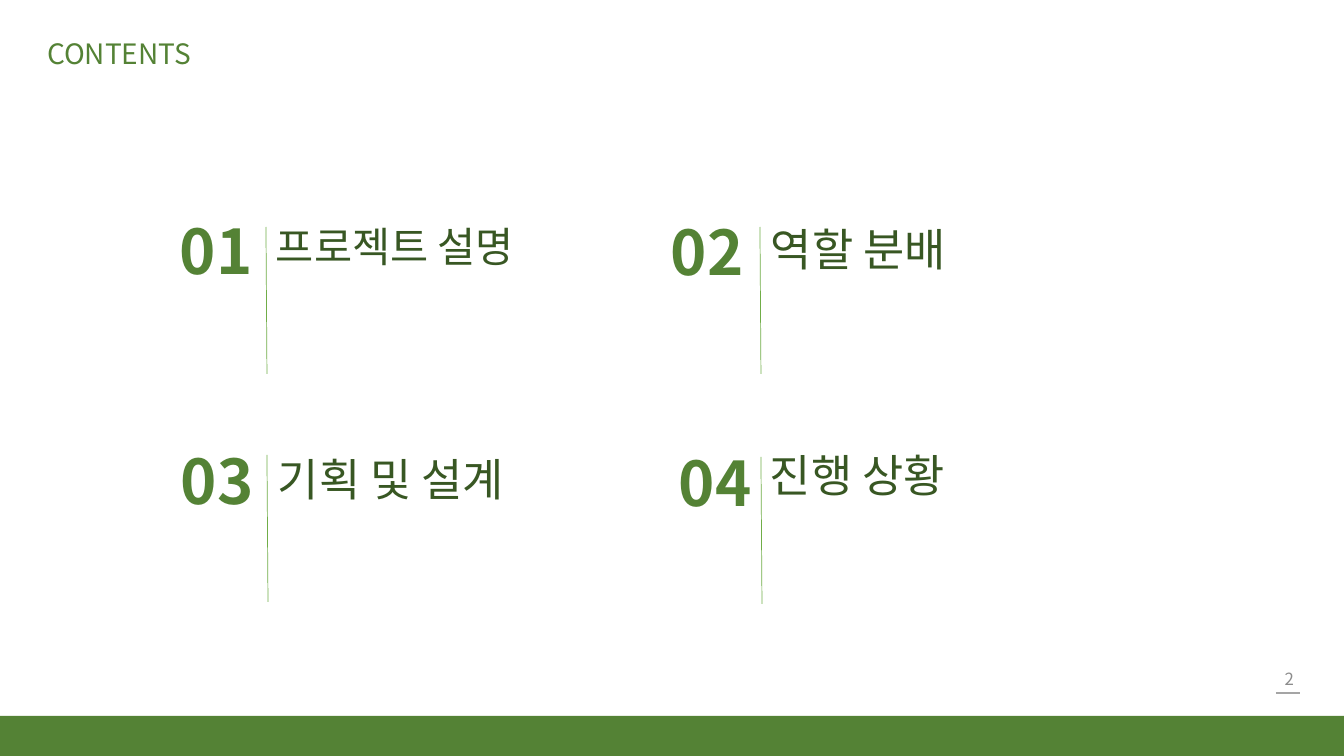
from dataclasses import dataclass

from lxml.etree import SubElement
from pptx import Presentation
from pptx.dml.color import RGBColor as Color
from pptx.enum.shapes import MSO_CONNECTOR as Link, MSO_SHAPE as Shape
from pptx.enum.text import MSO_ANCHOR as Anchor, MSO_AUTO_SIZE as Fit, PP_ALIGN as Align
from pptx.oxml.ns import qn
from pptx.util import Emu, Pt

PX = 914400 / 100.8


def px(*nums):
    return [Emu(round(n * PX)) for n in nums]


@dataclass(frozen=True)
class Theme:
    font: str = "Noto Sans CJK KR"
    green: str = "548235"
    dark: str = "385723"
    light: str = "70AD47"
    gray: str = "8C8C8C"
    dash: str = "A5A5A5"
    head: float = 20
    num: float = 44
    label: float = 32
    small: float = 29.6
    page: float = 12


class Deck:
    def __init__(self, theme):
        self.theme = theme
        self.prs = Presentation()
        self.prs.slide_width, self.prs.slide_height = px(1344, 756)
        self.slide = self.prs.slides.add_slide(self.prs.slide_layouts[5])
        self.shapes = self.slide.shapes

    def letter(self, shape, text, size, color, bold=False, align=Align.LEFT,
               anchor=Anchor.MIDDLE, lead=0.9, before=0):
        """Put one styled run of text into a shape."""
        frame = shape.text_frame
        frame.word_wrap = True
        frame.auto_size = Fit.NONE
        frame.vertical_anchor = anchor
        para = frame.paragraphs[0]
        para.alignment = align
        para.line_spacing = lead
        para.space_before = Pt(before)
        run = para.add_run()
        run.text = text
        font = run.font
        font.name, font.size, font.bold = self.theme.font, Pt(size), bold
        font.color.rgb = Color.from_string(color)
        # Hangul takes its typeface from the East Asian font
        SubElement(font._element, qn("a:ea"), typeface=self.theme.font)

    def title(self, box, text):
        head = self.shapes.title
        head.left, head.top, head.width, head.height = px(*box)
        self.letter(head, text, self.theme.head, self.theme.green)

    def text(self, box, text, size, color, **style):
        self.letter(self.shapes.add_textbox(*px(*box)), text, size, color, **style)

    def band(self, box, color):
        bar = self.shapes.add_shape(Shape.RECTANGLE, *px(*box))
        bar.shadow.inherit = False
        bar.fill.solid()
        bar.fill.fore_color.rgb = Color.from_string(color)
        bar.line.fill.background()

    def line(self, ends, color, width):
        rule = self.shapes.add_connector(Link.STRAIGHT, *px(*ends))
        rule.line.color.rgb = Color.from_string(color)
        rule.line.width = Pt(width)
        SubElement(rule._element.spPr, qn("a:effectLst"))

    def item(self, num, spot, name, box, rule, size, **style):
        """Add one entry: its number, its name and the rule between them."""
        look = self.theme
        self.text((*spot, 388, 40), num, look.num, look.green, bold=True)
        self.text(box, name, size, look.dark, **style)
        x, y = rule
        self.line((x, y, x + 1, y + 147), look.light, 0.5)


def main():
    look = Theme()
    deck = Deck(look)
    deck.band((0, 716, 1344, 40), look.green)
    deck.text((1002, 659, 302, 40), "2", look.page, look.gray,
              align=Align.RIGHT, lead=1.0)
    deck.line((1276, 693, 1300, 693), look.dash, 1.5)
    deck.title((37, 35, 388, 40), "CONTENTS")

    high = dict(anchor=Anchor.TOP, before=10)
    deck.item("01", (170, 235), "프로젝트 설명", (266, 222, 282, 88),
              (266, 227), look.small, **high)
    deck.item("02", (661, 236), "역할 분배", (761, 223, 350, 88),
              (760, 227), look.label, **high)
    deck.item("03", (171, 465), "기획 및 설계", (268, 417, 350, 130),
              (267, 455), look.label)
    deck.item("04", (669, 467), "진행 상황", (760, 413, 350, 130),
              (761, 457), look.label)
    deck.prs.save("out.pptx")


if __name__ == "__main__":
    main()
